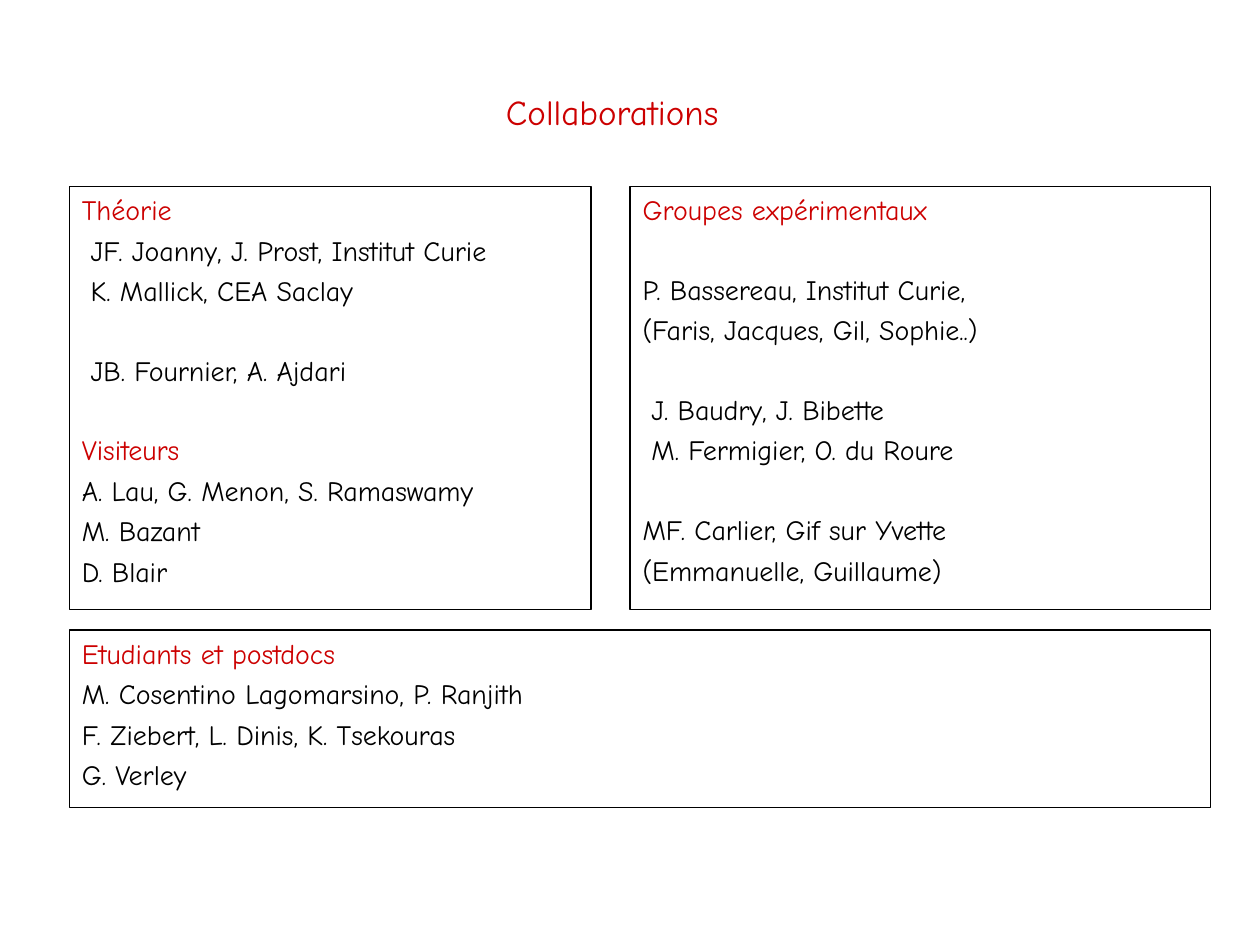
import pptx
import pptx.dml.color
import pptx.enum.text
import pptx.util
from pptx.util import Inches

RED = pptx.dml.color.RGBColor(0xCC, 0x00, 0x00)
BLACK = pptx.dml.color.RGBColor(0x00, 0x00, 0x00)
FONT = "Comic Neue"
LINE_SPACE = 3.95
GAP_SPACE = 26.3

LEFT, RIGHT = 0.55, 9.61
TOP, HEIGHT = 1.48, 3.36
EXPERIMENT_LEFT = 5

THEORY = [
    ("Théorie",),
    ("JF. Joanny, J. Prost, Institut Curie", "indent"),
    ("K. Mallick, CEA Saclay", "indent"),
    ("JB. Fournier, A. Ajdari", "indent", "gap"),
    ("Visiteurs", "gap"),
    ("A. Lau, G. Menon, S. Ramaswamy",),
    ("M. Bazant",),
    ("D. Blair",),
]
EXPERIMENT = [
    ("Groupes expérimentaux",),
    ("P. Bassereau, Institut Curie,", "gap"),
    ("(Faris, Jacques, Gil, Sophie..)",),
    ("J. Baudry, J. Bibette", "indent", "gap"),
    ("M. Fermigier, O. du Roure", "indent"),
    ("MF. Carlier, Gif sur Yvette", "gap"),
    ("(Emmanuelle, Guillaume)",),
]
STUDENTS = [
    ("Etudiants et postdocs",),
    ("M. Cosentino Lagomarsino, P. Ranjith",),
    ("F. Ziebert, L. Dinis, K. Tsekouras",),
    ("G. Verley",),
]
HEADINGS = {"Théorie", "Visiteurs", "Groupes expérimentaux", "Etudiants et postdocs"}


def place(holder, left, top, width, height):
    """Move a placeholder and make its text start at the top."""
    holder.left, holder.top = Inches(left), Inches(top)
    holder.width, holder.height = Inches(width), Inches(height)
    frame = holder.text_frame
    frame.word_wrap = True
    frame.auto_size = pptx.enum.text.MSO_AUTO_SIZE.NONE
    frame.vertical_anchor = pptx.enum.text.MSO_ANCHOR.TOP
    return frame


def style_font(font, size, color):
    """Apply the slide's typeface with a size and colour."""
    font.name = FONT
    font.size = pptx.util.Pt(size)
    font.bold = False
    font.color.rgb = color


def remove_bullet(paragraph, indent):
    """Replace the inherited bullet by a plain left margin."""
    properties = paragraph._p.get_or_add_pPr()
    properties.set("marL", str(Inches(indent)))
    properties.set("indent", "0")
    properties.append(pptx.oxml.parse_xml(
        '<a:buNone xmlns:a="http://schemas.openxmlformats.org/drawingml/2006/main"/>'))


def fill_title(title):
    """Write the centred slide title."""
    frame = place(title, -0.08, 0.62, 10, 0.5)
    frame.margin_top = Inches(0.1)
    frame.margin_right = Inches(0.22)
    frame.text = "Collaborations"
    heading = frame.paragraphs[0]
    heading.alignment = pptx.enum.text.PP_ALIGN.CENTER
    style_font(heading.runs[0].font, 20, RED)


def fill_panel(panel, box, people):
    """Write a bordered list of collaborators with red headings."""
    frame = place(panel, *box)
    panel.line.color.rgb = BLACK
    panel.line.width = pptx.util.Pt(0.75)
    frame.text = "\n".join(entry[0] for entry in people)
    for index, (paragraph, (text, *traits)) in enumerate(zip(frame.paragraphs, people)):
        remove_bullet(paragraph, 0.07 if "indent" in traits else 0)
        space = GAP_SPACE if "gap" in traits else LINE_SPACE
        paragraph.space_before = pptx.util.Pt(space if index else 0)
        paragraph.alignment = pptx.enum.text.PP_ALIGN.LEFT
        style_font(paragraph.runs[0].font, 16, RED if text in HEADINGS else BLACK)


def main():
    """Build the collaborations slide."""
    deck = pptx.Presentation()
    deck.slide_width, deck.slide_height = Inches(10), Inches(7.5)
    slide = deck.slides.add_slide(deck.slide_layouts.get_by_name("Comparison"))
    fill_title(slide.shapes.title)
    panels = [
        ((LEFT, TOP, 4.14, HEIGHT), THEORY),
        ((EXPERIMENT_LEFT, TOP, RIGHT - EXPERIMENT_LEFT, HEIGHT), EXPERIMENT),
        ((LEFT, 5, RIGHT - LEFT, 1.41), STUDENTS),
    ]
    theory, experiment, students, unused = [
        holder for holder in slide.placeholders if 1 <= holder.placeholder_format.idx <= 4]
    for panel, (box, people) in zip((theory, experiment, students), panels):
        fill_panel(panel, box, people)
    unused.element.getparent().remove(unused.element)
    deck.save("out.pptx")


if __name__ == "__main__":
    main()
